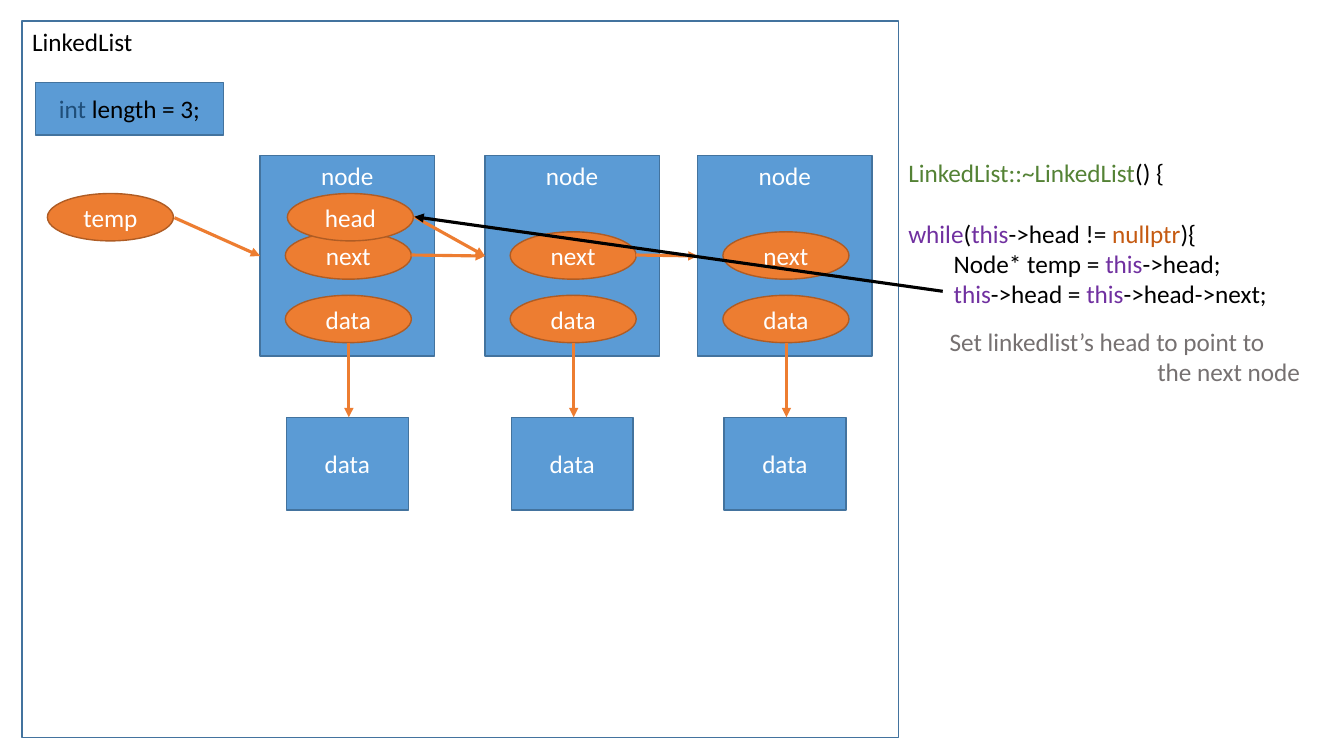
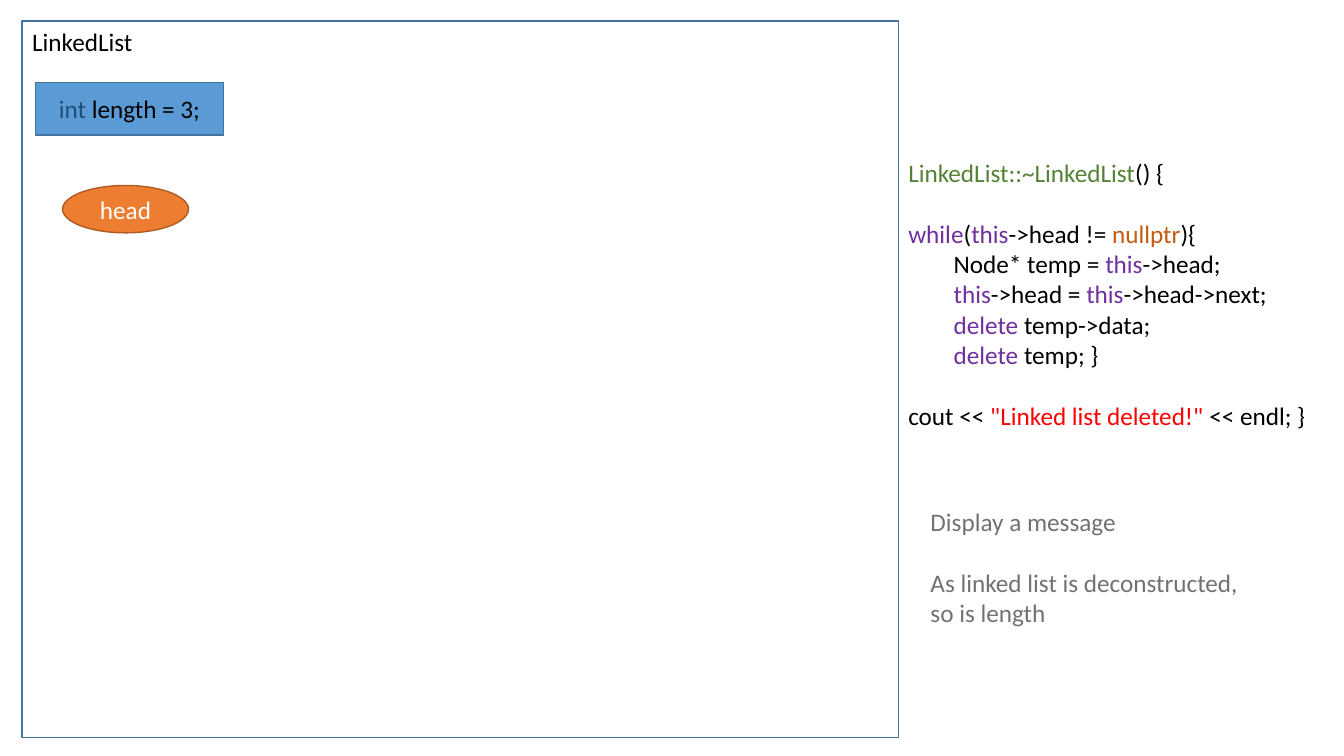
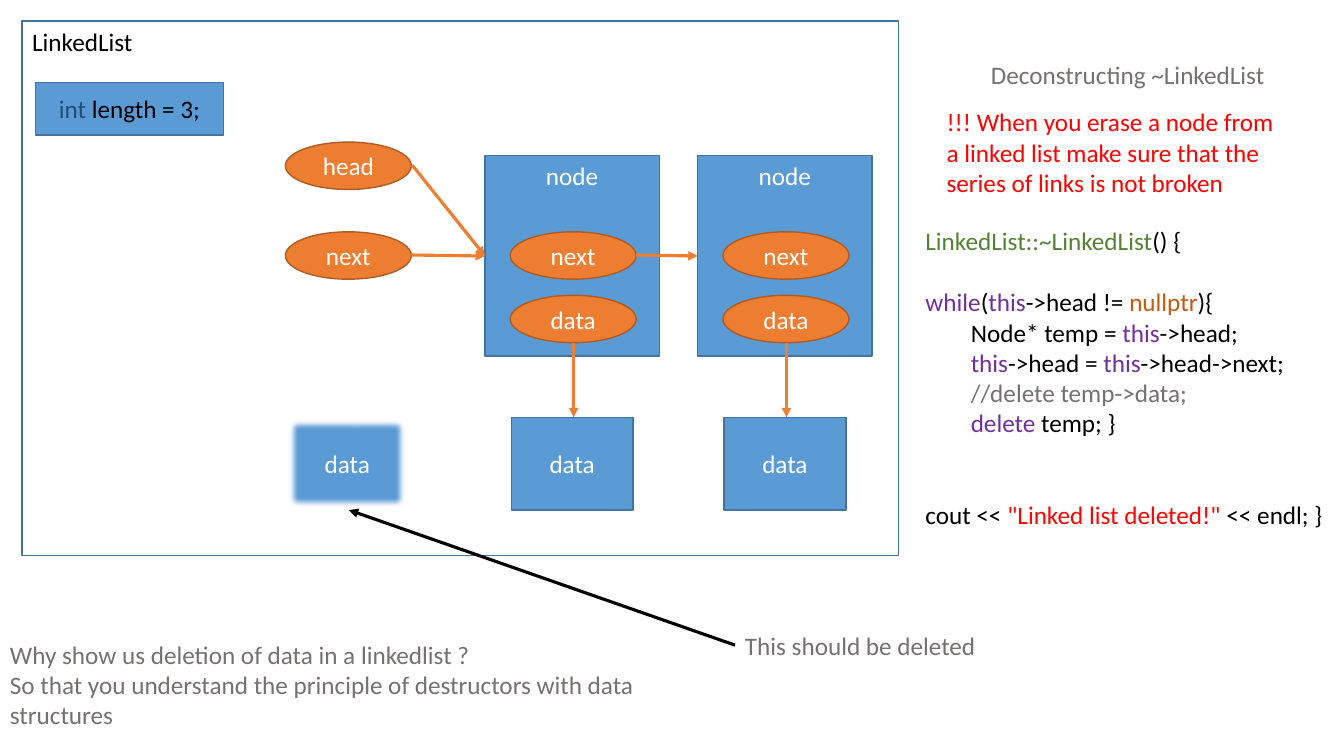
from lxml.etree import SubElement
from pptx import Presentation
from pptx.dml.color import RGBColor
from pptx.enum.shapes import MSO_CONNECTOR, MSO_SHAPE
from pptx.enum.text import MSO_ANCHOR, PP_ALIGN
from pptx.oxml.ns import qn
from pptx.util import Inches, Pt

FONT, SIZE, LINE_HEIGHT = "Calibri", Pt(18), 22
COLORS = {
    "blue": "5B9BD5", "blue_edge": "43739E", "navy": "1F4E79",
    "orange": "ED7D31", "orange_edge": "AF5C24", "rust": "C55A11",
    "green": "548235", "purple": "7030A0", "red": "FF0000",
    "grey": "767171", "black": "000000", "white": "FFFFFF",
}
RGB = {name: RGBColor.from_string(value) for name, value in COLORS.items()}

# style: preset shape, fill, edge, alignment, anchor
STYLES = {
    "frame": (MSO_SHAPE.RECTANGLE, None, "blue_edge", PP_ALIGN.LEFT, MSO_ANCHOR.TOP),
    "node": (MSO_SHAPE.RECTANGLE, "blue", "blue_edge", PP_ALIGN.CENTER, MSO_ANCHOR.TOP),
    "value": (MSO_SHAPE.RECTANGLE, "blue", "blue_edge", PP_ALIGN.CENTER, MSO_ANCHOR.MIDDLE),
    "pointer": (MSO_SHAPE.OVAL, "orange", "orange_edge", PP_ALIGN.CENTER, MSO_ANCHOR.MIDDLE),
    "text": (None, None, None, PP_ALIGN.LEFT, MSO_ANCHOR.TOP),
}


def add_box(s, style, x, y, w, h, *paras):
    """Each paragraph is (runs, left indent in inches, blank lines above); a run is (text, colour)."""
    preset, fill, edge, align, anchor = STYLES[style]
    area = [Inches(v) for v in (x, y, w, h)]
    if preset is None:
        sp = s.shapes.add_textbox(*area)
    else:
        sp = s.shapes.add_shape(preset, *area)
        sp.shadow.inherit = False
        sp.line.color.rgb = RGB[edge]
        sp.line.width = Pt(1)
        if fill:
            sp.fill.solid()
            sp.fill.fore_color.rgb = RGB[fill]
        else:
            sp.fill.background()
    tf = sp.text_frame
    tf.word_wrap = True
    tf.vertical_anchor = anchor
    for i, (runs, indent, gap) in enumerate(paras):
        p = tf.add_paragraph() if i else tf.paragraphs[0]
        p.alignment = align
        p.space_before = Pt(gap * LINE_HEIGHT)
        if indent:
            p._p.get_or_add_pPr().set("marL", str(Inches(indent)))
        for text, color in runs:
            r = p.add_run()
            r.text = text
            r.font.name, r.font.size, r.font.color.rgb = FONT, SIZE, RGB[color]
    return sp


def add_arrow(s, x1, y1, x2, y2, color="orange"):
    c = s.shapes.add_connector(MSO_CONNECTOR.STRAIGHT, *[Inches(v) for v in (x1, y1, x2, y2)])
    c.line.color.rgb = RGB[color]
    c.line.width = Pt(2.25)
    SubElement(c.line._get_or_add_ln(), qn("a:tailEnd"), type="triangle")
    SubElement(c._element.spPr, qn("a:effectLst"))


# Code of the destructor
TAB = 0.45
THIS = ("this", "purple")
LOOP = [
    ([("LinkedList::~LinkedList", "green"), ("() {", "black")], 0, 0),
    ([("while", "purple"), ("(", "black"), THIS, ("->head != ", "black"),
      ("nullptr", "rust"), ("){", "black")], 0, 1),
    ([("Node* temp = ", "black"), THIS, ("->head;", "black")], TAB, 0),
    ([THIS, ("->head = ", "black"), THIS, ("->head->next;", "black")], TAB, 0),
]
DELETE_DATA = ([("delete", "purple"), (" temp->data;", "black")], TAB, 0)
SKIP_DATA = ([("//delete temp->data;", "grey")], TAB, 0)
DELETE_TEMP = ([("delete", "purple"), (" temp; }", "black")], TAB, 0)
MESSAGE = [("cout << ", "black"), ('"Linked list deleted!" ', "red"), ("<< endl; }", "black")]

# Linked list grid
NODE_X = [2.58, 4.81, 6.92]
NODE_Y, NODE_W, NODE_H = 1.54, 1.73, 1.99
OVAL_W, OVAL_H = 1.25, 0.47
NEXT_Y, DATA_Y = 2.3, 2.93
VALUE_Y, VALUE_W, VALUE_H = 4.14, 1.21, 0.92
LINK_Y = 2.54
OVAL_DX, VALUE_DX, MID_DX = 0.25, 0.26, 0.88

prs = Presentation()
prs.slide_width, prs.slide_height = Inches(13.33), Inches(7.5)

# What the slides share: frame, length, code and the nodes still alive
slides = []
for frame_h, code_area, code, nodes, loose in [
    (7.11, (8.91, 1.51, 3.81, 1.62), LOOP, [0, 1, 2], []),
    (7.11, (8.91, 1.51, 4.19, 2.83),
     LOOP + [DELETE_DATA, DELETE_TEMP, (MESSAGE, 0, 1)], [], []),
    (5.3, (9.08, 2.19, 4.19, 3.13),
     LOOP + [SKIP_DATA, DELETE_TEMP, (MESSAGE, 0, 2)], [1, 2], [0]),
]:
    s = prs.slides.add_slide(prs.slide_layouts[6])
    slides.append(s)
    add_box(s, "frame", 0.22, 0.21, 8.69, frame_h, ([("LinkedList", "black")], 0, 0))
    add_box(s, "value", 0.35, 0.82, 1.87, 0.52,
            ([("int", "navy"), (" length = 3;", "black")], 0, 0))
    add_box(s, "text", *code_area, *code)
    for n in loose + nodes:
        x = NODE_X[n]
        if n in nodes:
            add_box(s, "node", x, NODE_Y, NODE_W, NODE_H, ([("node", "white")], 0, 0))
            add_box(s, "pointer", x + OVAL_DX, DATA_Y, OVAL_W, OVAL_H, ([("data", "white")], 0, 0))
        value = add_box(s, "value", x + VALUE_DX, VALUE_Y, VALUE_W, VALUE_H,
                        ([("data", "white")], 0, 0))
        add_box(s, "pointer", x + OVAL_DX, NEXT_Y, OVAL_W, OVAL_H, ([("next", "white")], 0, 0))
        if n in nodes:
            add_arrow(s, x + MID_DX, DATA_Y + OVAL_H, x + MID_DX, VALUE_Y)
        else:
            effects = value._element.spPr.find(qn("a:effectLst"))
            SubElement(effects, qn("a:softEdge"), rad=str(Pt(5)))
    for n in (loose + nodes)[:-1]:
        add_arrow(s, NODE_X[n] + OVAL_DX + OVAL_W, LINK_Y - 0.01, NODE_X[n + 1], LINK_Y)

# Slide 1: head moves to the next node
s = slides[0]
add_box(s, "pointer", 2.85, 1.92, OVAL_W, OVAL_H, ([("head", "white")], 0, 0))
add_arrow(s, 4.11, 2.15, NODE_X[1], LINK_Y)
add_box(s, "pointer", 0.47, 1.92, OVAL_W, OVAL_H, ([("temp", "white")], 0, 0))
add_arrow(s, 1.73, 2.16, NODE_X[0], LINK_Y)
add_arrow(s, 9.35, 2.89, 4.11, 2.15, "black")
add_box(s, "text", 9.32, 3.19, 3.71, 0.71,
        ([("Set linkedlist’s head to point to", "grey")], 0, 0),
        ([("the next node", "grey")], 2.06, 0))

# Slide 2: the list is empty
s = slides[1]
add_box(s, "pointer", 0.62, 1.84, OVAL_W, OVAL_H, ([("head", "white")], 0, 0))
add_box(s, "text", 9.13, 4.97, 3.28, 1.31,
        ([("Display a message", "grey")], 0, 0),
        ([("As linked list is deconstructed,", "grey")], 0, 1),
        ([("so is length", "grey")], 0, 0))

# Slide 3: data left behind
s = slides[2]
add_box(s, "pointer", 2.83, 1.41, OVAL_W, OVAL_H, ([("head", "white")], 0, 0))
add_arrow(s, 4.09, 1.64, NODE_X[1], LINK_Y)
add_box(s, "text", 9.73, 0.54, 2.95, 0.4, ([("Deconstructing ~LinkedList", "grey")], 0, 0))
add_box(s, "text", 9.29, 1.01, 3.54, 1.01,
        ([("!!! When you erase a node from a linked list make sure that the "
           "series of links is not broken", "red")], 0, 0))
add_arrow(s, 7.29, 6.4, 3.46, 5.06, "black")
add_box(s, "text", 7.29, 6.2, 2.54, 0.4, ([("This should be deleted", "grey")], 0, 0))
add_box(s, "text", 0, 6.29, 6.67, 1.01,
        ([("Why show us deletion of data in a linkedlist ?", "grey")], 0, 0),
        ([("So that you understand the principle of destructors with data structures",
           "grey")], 0, 0))

prs.save("out.pptx")
